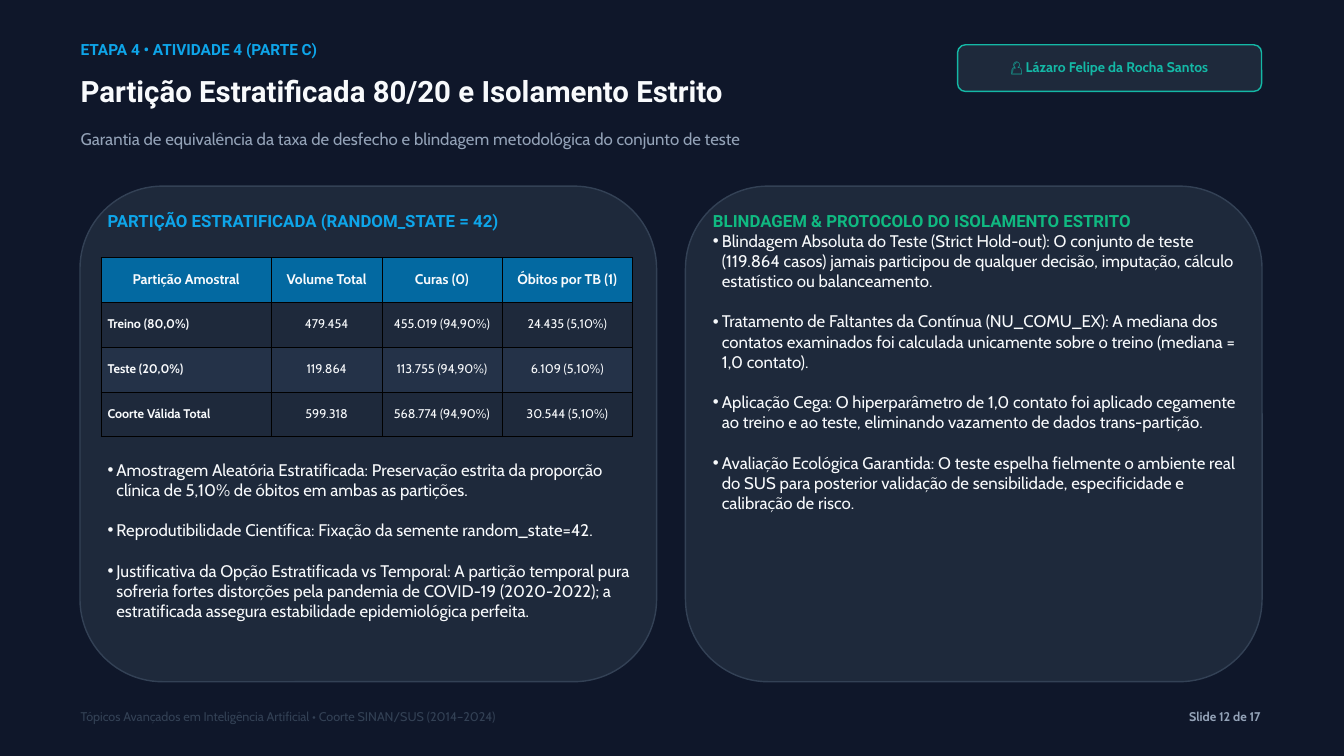
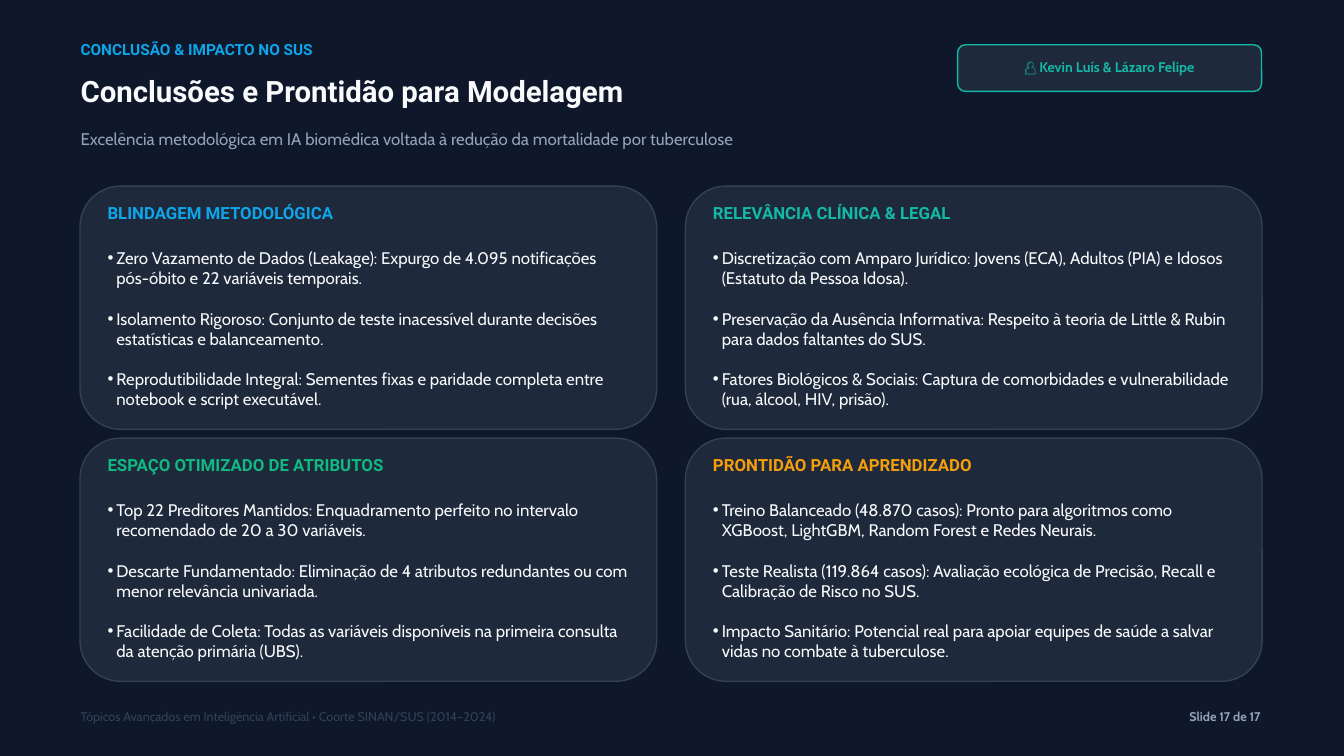
from lxml.etree import SubElement as Sub
from pptx import Presentation
from pptx.dml.color import RGBColor as Rgb
from pptx.enum.shapes import MSO_SHAPE as Kind
from pptx.enum.text import MSO_ANCHOR as Anchor, MSO_AUTO_SIZE as Fit, PP_ALIGN as Align
from pptx.oxml.ns import qn
from pptx.util import Pt

HUE = {
    "night": "0F172A", "card": "1E293B", "edge": "334155", "band": "243248",
    "head": "0369A1", "white": "F8FAFC", "grey": "94A3B8", "black": "000000",
    "blue": "0EA5E9", "teal": "14B8A6", "green": "10B981", "amber": "F59E0B",
}
WIDE, HIGH = 1440, 810
LEFT, TOP = 86.4, 199.4
CARD_X, CARD_W, STEP_X = 85.7, 617.8, 648.7
TALL, SHORT, STEP_Y = 531, 260.6, 270
PAD, HANG = 29.5, 9.5
INNER = CARD_W - 2 * PAD
FOOT = "Tópicos Avançados em Inteligência Artificial • Coorte SINAN/SUS (2014–2024)"

ROWS = [
    ["Partição Amostral", "Volume Total", "Curas (0)", "Óbitos por TB (1)"],
    ["Treino (80,0%)", "479.454", "455.019 (94,90%)", "24.435 (5,10%)"],
    ["Teste (20,0%)", "119.864", "113.755 (94,90%)", "6.109 (5,10%)"],
    ["Coorte Válida Total", "599.318", "568.774 (94,90%)", "30.544 (5,10%)"],
]
SPLIT = [
    "Amostragem Aleatória Estratificada: Preservação estrita da proporção clínica de 5,10% de óbitos em ambas as partições.",
    "Reprodutibilidade Científica: Fixação da semente random_state=42.",
    "Justificativa da Opção Estratificada vs Temporal: A partição temporal pura sofreria fortes distorções pela pandemia de COVID-19 (2020-2022); a estratificada assegura estabilidade epidemiológica perfeita.",
]
SHIELD = [
    "Blindagem Absoluta do Teste (Strict Hold-out): O conjunto de teste (119.864 casos) jamais participou de qualquer decisão, imputação, cálculo estatístico ou balanceamento.",
    "Tratamento de Faltantes da Contínua (NU_COMU_EX): A mediana dos contatos examinados foi calculada unicamente sobre o treino (mediana = 1,0 contato).",
    "Aplicação Cega: O hiperparâmetro de 1,0 contato foi aplicado cegamente ao treino e ao teste, eliminando vazamento de dados trans-partição.",
    "Avaliação Ecológica Garantida: O teste espelha fielmente o ambiente real do SUS para posterior validação de sensibilidade, especificidade e calibração de risco.",
]
ENDS = [
    ("BLINDAGEM METODOLÓGICA", "blue", [
        "Zero Vazamento de Dados (Leakage): Expurgo de 4.095 notificações pós-óbito e 22 variáveis temporais.",
        "Isolamento Rigoroso: Conjunto de teste inacessível durante decisões estatísticas e balanceamento.",
        "Reprodutibilidade Integral: Sementes fixas e paridade completa entre notebook e script executável."]),
    ("RELEVÂNCIA CLÍNICA & LEGAL", "teal", [
        "Discretização com Amparo Jurídico: Jovens (ECA), Adultos (PIA) e Idosos (Estatuto da Pessoa Idosa).",
        "Preservação da Ausência Informativa: Respeito à teoria de Little & Rubin para dados faltantes do SUS.",
        "Fatores Biológicos & Sociais: Captura de comorbidades e vulnerabilidade (rua, álcool, HIV, prisão)."]),
    ("ESPAÇO OTIMIZADO DE ATRIBUTOS", "green", [
        "Top 22 Preditores Mantidos: Enquadramento perfeito no intervalo recomendado de 20 a 30 variáveis.",
        "Descarte Fundamentado: Eliminação de 4 atributos redundantes ou com menor relevância univariada.",
        "Facilidade de Coleta: Todas as variáveis disponíveis na primeira consulta da atenção primária (UBS)."]),
    ("PRONTIDÃO PARA APRENDIZADO", "amber", [
        "Treino Balanceado (48.870 casos): Pronto para algoritmos como XGBoost, LightGBM, Random Forest e Redes Neurais.",
        "Teste Realista (119.864 casos): Avaliação ecológica de Precisão, Recall e Calibração de Risco no SUS.",
        "Impacto Sanitário: Potencial real para apoiar equipes de saúde a salvar vidas no combate à tuberculose."]),
]


def tint(name):
    return Rgb.from_string(HUE[name])


def style(para, size, hue, font="Cabin", bold=False, align=Align.LEFT):
    para.alignment = align
    para.line_spacing = Pt(round(size * 1.2, 1))
    para.space_before = para.space_after = Pt(0)
    for run in para.runs:
        face = run.font
        face.size, face.name, face.bold = Pt(size), font, bold
        face.color.rgb = tint(hue)


def place(shape, x, y, w, h):
    shape.left, shape.top, shape.width, shape.height = map(Pt, (x, y, w, h))


def prep(frame):
    frame.word_wrap, frame.auto_size = True, Fit.NONE
    frame.vertical_anchor = Anchor.TOP
    frame.margin_left = frame.margin_right = frame.margin_top = frame.margin_bottom = 0


def label(slide, text, box, *args, **opts):
    frame = slide.shapes.add_textbox(*map(Pt, box)).text_frame
    prep(frame)
    frame.text = text
    style(frame.paragraphs[0], *args, **opts)


def panel(slide, box, line):
    shape = slide.shapes.add_shape(Kind.ROUNDED_RECTANGLE, *map(Pt, box))
    shape.shadow.inherit = False
    shape.fill.solid()
    shape.fill.fore_color.rgb = tint("card")
    shape.line.color.rgb = tint(line)
    shape.line.width = Pt(1.5)
    return shape


def points(slot, items, x, y, w, h):
    """Bulleted list in a body placeholder."""
    place(slot, x, y, w, h)
    frame = slot.text_frame
    prep(frame)
    frame.text = "\n".join(items)
    for i, para in enumerate(frame.paragraphs):
        props = para._p.get_or_add_pPr()
        props.set("marL", str(Pt(HANG)))
        props.set("indent", str(-Pt(HANG)))
        Sub(props, qn("a:buChar"), char="•")
        style(para, 18, "white")
        if i:
            para.space_before = Pt(21.6)


def header(slide, step, title, sub, who):
    # Title block
    label(slide, step, (LEFT, 43.2, 918.7, 34.6), 16.5, "blue", "Roboto", True)
    head = slide.shapes.title
    place(head, LEFT, 77.8, 918.7, 59.8)
    prep(head.text_frame)
    head.text_frame.text = title
    style(head.text_frame.paragraphs[0], 31.5, "white", "Roboto", True)
    label(slide, sub, (LEFT, 137.5, 918.7, 43.9), 18, "grey")
    # Author badge
    frame = panel(slide, (1026, 48, 325.7, 50), "teal").text_frame
    prep(frame)
    frame.vertical_anchor = Anchor.MIDDLE
    frame.margin_bottom = Pt(3)
    frame.text = f"👤 {who}"
    style(frame.paragraphs[0], 15, "teal", bold=True, align=Align.CENTER)


def footer(slide, page):
    label(slide, FOOT, (LEFT, 759.6, 864.7, 34.6), 13.5, "edge")
    label(slide, f"Slide {page} de 17", (1134.7, 759.6, 216, 18), 13.5, "grey",
          bold=True, align=Align.RIGHT)


def card(slide, slot, box, name, hue, items, head_y, list_y, extra=0):
    x, y, w, h = box
    panel(slide, box, "edge")
    label(slide, name, (x + PAD, y + head_y, INNER, 36), 18, hue, "Roboto", True)
    points(slot, items, x + PAD, y + list_y, INNER + extra, h - list_y - 22)
    # Lists stand in front of their cards
    slide.shapes._spTree.append(slot._element)


def border(cell):
    props = cell._tc.get_or_add_tcPr()
    for side in "LRTB":
        line = Sub(props, qn(f"a:ln{side}"), w=str(Pt(0.37)))
        Sub(Sub(line, qn("a:solidFill")), qn("a:srgbClr"), val=HUE["black"])


def grid(slide, x, y):
    cols, row_h = [182.9, 118.1, 128.9, 139.7], 48
    box = map(Pt, (x, y, sum(cols), row_h * len(ROWS)))
    table = slide.shapes.add_table(len(ROWS), len(cols), *box).table
    table.horz_banding = table.first_row = False
    for col, w in zip(table.columns, cols):
        col.width = Pt(w)
    for r, row in enumerate(ROWS):
        table.rows[r].height = Pt(row_h)
        for c, text in enumerate(row):
            cell = table.cell(r, c)
            border(cell)
            cell.fill.solid()
            cell.fill.fore_color.rgb = tint("head" if r == 0 else "band" if r == 2 else "card")
            cell.vertical_anchor = Anchor.MIDDLE
            cell.margin_left = cell.margin_right = cell.margin_top = cell.margin_bottom = Pt(7.2)
            cell.text_frame.text = text
            style(cell.text_frame.paragraphs[0], 13.5 if r else 15, "white", bold=r == 0 or c == 0,
                  align=Align.LEFT if r and c == 0 else Align.CENTER)


def split(deck):
    """Two tall cards, the first with a table."""
    slide = deck.slides.add_slide(deck.slide_layouts[3])
    header(slide, "ETAPA 4 • ATIVIDADE 4 (PARTE C)",
           "Partição Estratificada 80/20 e Isolamento Estrito",
           "Garantia de equivalência da taxa de desfecho e blindagem metodológica do conjunto de teste",
           "Lázaro Felipe da Rocha Santos")
    footer(slide, 12)
    slots = slide.placeholders
    card(slide, slots[1], (CARD_X, TOP, CARD_W, TALL),
         "PARTIÇÃO ESTRATIFICADA (RANDOM_STATE = 42)", "blue", SPLIT, 26, 293, HANG)
    grid(slide, CARD_X + 22.3, TOP + 76.3)
    card(slide, slots[2], (CARD_X + STEP_X, TOP, CARD_W, TALL),
         "BLINDAGEM & PROTOCOLO DO ISOLAMENTO ESTRITO", "green", SHIELD, 26, 47.6, HANG)


def close(deck):
    """Two by two cards of conclusions."""
    slide = deck.slides.add_slide(deck.slide_layouts[4])
    header(slide, "CONCLUSÃO & IMPACTO NO SUS", "Conclusões e Prontidão para Modelagem",
           "Excelência metodológica em IA biomédica voltada à redução da mortalidade por tuberculose",
           "Kevin Luís & Lázaro Felipe")
    footer(slide, 17)
    slots = slide.placeholders
    for i, (name, hue, items) in enumerate(ENDS):
        row, col = divmod(i, 2)
        box = (CARD_X + col * STEP_X, TOP + row * STEP_Y, CARD_W, SHORT)
        card(slide, slots[i + 1], box, name, hue, items, 17.3, 66.3)


def main():
    deck = Presentation()
    deck.slide_width, deck.slide_height = Pt(WIDE), Pt(HIGH)
    back = deck.slide_master.background.fill
    back.solid()
    back.fore_color.rgb = tint("night")
    split(deck)
    close(deck)
    deck.save("out.pptx")


if __name__ == "__main__":
    main()
